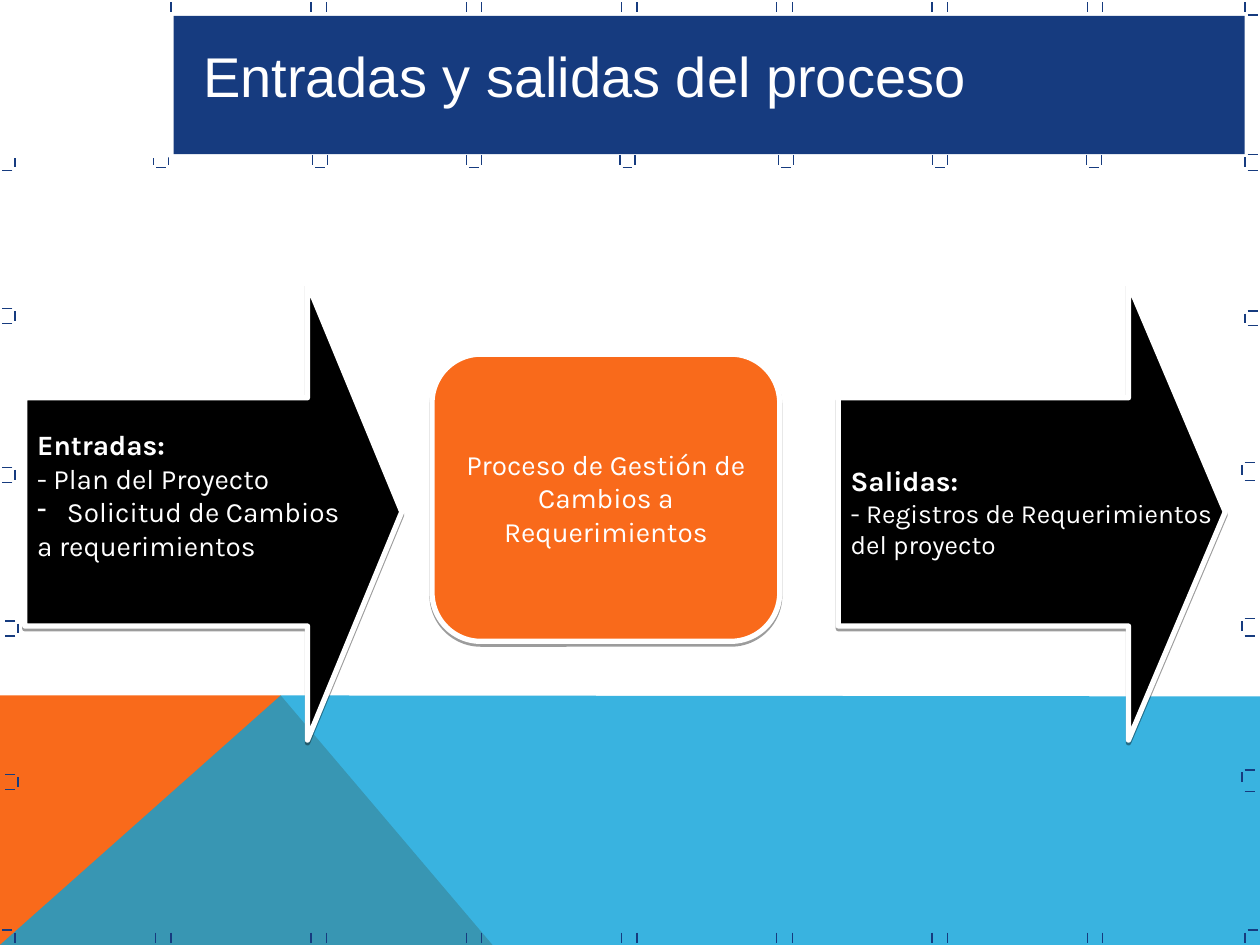
from lxml import etree
from pptx import Presentation
from pptx.dml.color import RGBColor
from pptx.enum.shapes import MSO_CONNECTOR, MSO_SHAPE
from pptx.enum.text import MSO_ANCHOR, MSO_AUTO_SIZE, PP_ALIGN
from pptx.oxml.ns import qn
from pptx.util import Cm, Pt

RECT = MSO_SHAPE.RECTANGLE
ROUND = MSO_SHAPE.ROUNDED_RECTANGLE
ARROW = MSO_SHAPE.RIGHT_ARROW
LINE = MSO_CONNECTOR.STRAIGHT
TOP, MIDDLE = MSO_ANCHOR.TOP, MSO_ANCHOR.MIDDLE
LEFT, CENTER = PP_ALIGN.LEFT, PP_ALIGN.CENTER
FIXED = MSO_AUTO_SIZE.NONE

NAVY, ORANGE, BLUE = "163B7F", "F96A1B", "08A1D9"
WHITE, BLACK = "FFFFFF", "000000"
WIDE, HIGH = 25.4, 19.05
PITCH = 3.13  # spacing of the marks around the frame


def color(code):
    return RGBColor.from_string(code)


def sub(parent, tag, **attrs):
    node = etree.SubElement(parent, qn(tag))
    for key, value in attrs.items():
        node.set(key, str(value))
    return node


def paint(shape, fill, edge=None, width=0):
    shape.shadow.inherit = False
    shape.fill.solid()
    shape.fill.fore_color.rgb = color(fill)
    if edge:
        shape.line.color.rgb = color(edge)
        shape.line.width = Pt(width)
    else:
        shape.line.fill.background()


def add_box(slide, kind, box, fill, edge=None, width=0):
    shape = slide.shapes.add_shape(kind, *[Cm(v) for v in box])
    paint(shape, fill, edge, width)
    return shape


def add_poly(slide, points, fill, alpha=None):
    spots = [(Cm(x), Cm(y)) for x, y in points]
    pen = slide.shapes.build_freeform(*spots[0])
    pen.add_line_segments(spots[1:], close=True)
    shape = pen.convert_to_shape()
    paint(shape, fill)
    if alpha:
        tone = shape._element.spPr.find(".//" + qn("a:srgbClr"))
        sub(tone, "a:alpha", val=alpha * 1000)


def add_tick(slide, x1, y1, x2, y2):
    tick = slide.shapes.add_connector(LINE, Cm(x1), Cm(y1), Cm(x2), Cm(y2))
    tick.line.color.rgb = color(NAVY)
    tick.line.width = Pt(0.75)
    sub(tick._element.spPr, "a:effectLst")


def add_side(slide, x, y, way, ends):
    """Mark at a side edge: an upright and the flat ends that lead outward."""
    add_tick(slide, x, y + 0.05, x, y + 0.25)
    for end in ends:
        add_tick(slide, x + way * 0.05, end, x + way * 0.25, end)


def add_marks(slide):
    # Pairs along the top and bottom edges
    for i in range(7):
        x = 3.45 + i * PITCH
        for y in (0.05, 18.8):
            add_tick(slide, x, y, x, y + 0.2)
            if i or y > 1:
                add_tick(slide, x - 0.31, y, x - 0.31, y + 0.2)

    # Brackets below the title band
    for x in (3.1, 6.3, 9.4, 12.5, 15.7, 18.8, 21.9):
        for edge in (x, x + 0.3):
            add_tick(slide, edge, 3.12, edge, 3.33)
        add_tick(slide, x + 0.05, 3.38, x + 0.25, 3.38)

    # Left edge
    add_side(slide, 0.3, 3.12, -1, [3.43])
    for x, y in ((0.3, 6.22), (0.3, 9.42), (0.36, 12.52), (0.36, 15.62)):
        add_side(slide, x, y, -1, [y, y + 0.3])
    add_side(slide, 0.3, 18.75, -1, [18.75])

    # Right edge
    places = ((25.1, 3.12), (25.1, 6.27), (25.04, 9.32),
              (25.04, 12.47), (25.04, 15.52))
    for i, (x, y) in enumerate(places):
        add_side(slide, x, y, 1, [y, 3.43 + i * PITCH])
    add_side(slide, 25.1, 0, 1, [0.3])
    add_side(slide, 25.1, 18.75, 1, [18.75])


def add_step(slide, kind, box, fill, adjust):
    shape = add_box(slide, kind, box, fill, WHITE, 3)
    for i, value in enumerate(adjust):
        shape.adjustments[i] = value
    shade = sub(shape._element.spPr.find(qn("a:effectLst")), "a:outerShdw",
                blurRad=0, dist=Pt(1.6), dir=5400000, rotWithShape=0)
    sub(sub(shade, "a:srgbClr", val=BLACK), "a:alpha", val=38000)
    shape.text_frame.vertical_anchor = MIDDLE
    shape.text_frame.word_wrap = kind == ROUND
    return shape


def style(para, size, align=LEFT, face="Karla"):
    para.alignment = align
    para.font.name = face
    para.font.size = Pt(size)
    para.font.color.rgb = color(WHITE)


def add_list(shape, head, lines, size):
    """Bold heading, a line break, then the remaining lines."""
    frame = shape.text_frame
    para = frame.paragraphs[0]
    style(para, size)
    run = para.add_run()
    run.text = head
    run.font.bold = True
    run.font.size = Pt(16)
    para.add_line_break()
    para.add_run().text = lines[0]
    for line in lines[1:]:
        para = frame.add_paragraph()
        para.text = line
        style(para, size)


def add_dash(para):
    props = para._p.get_or_add_pPr()
    props.set("marL", str(Cm(0.6)))
    props.set("indent", str(-Cm(0.6)))
    mark = etree.Element(qn("a:buChar"), char="-")
    props.insert(0, mark)


def set_title(slide, text):
    title = slide.shapes.title
    title.left, title.top = Cm(3.84), Cm(0.71)
    title.width, title.height = Cm(17.27), Cm(1.63)
    frame = title.text_frame
    frame.text = text
    frame.auto_size = FIXED
    frame.vertical_anchor = TOP
    style(frame.paragraphs[0], 32, face="Arial")
    slide.shapes._spTree.append(title._element)  # in front of the band


def main():
    deck = Presentation()
    deck.slide_width, deck.slide_height = Cm(WIDE), Cm(HIGH)
    slide = deck.slides.add_slide(deck.slide_layouts[5])

    # Backdrop
    peak = (5.66, 14.02)
    add_poly(slide, [(0, HIGH), (0, 14.02), peak, (9.93, HIGH)], ORANGE)
    add_poly(slide, [(0, HIGH), peak, (WIDE, 14.04), (WIDE, HIGH)], BLUE, 80)
    add_marks(slide)

    # Title band
    add_box(slide, RECT, (3.5, 0.32, 21.59, 2.79), NAVY)
    add_box(slide, RECT, (0, 0, 3.38, 3.15), WHITE, WHITE, 2)
    set_title(slide, "Entradas y salidas del proceso")

    # Inputs, process, outputs
    inputs = add_step(slide, ARROW, (0.5, 5.72, 7.6, 9.2), BLACK, (0.5, 0.25))
    add_list(inputs, "Entradas:", ["- Plan del Proyecto",
                                   "Solicitud de Cambios",
                                   "a requerimientos"], 16)
    add_dash(inputs.text_frame.paragraphs[1])
    inputs.text_frame.margin_bottom = Cm(0.82)

    process = add_step(slide, ROUND, (8.71, 7.14, 7.01, 5.79), ORANGE, [0.17])
    para = process.text_frame.paragraphs[0]
    para.text = "Proceso de Gestión de Cambios a Requerimientos"
    style(para, 16, CENTER)

    outputs = add_step(slide, ARROW, (16.9, 5.72, 7.8, 9.2), BLACK,
                       (0.5, 0.25))
    add_list(outputs, "Salidas:", ["- Registros de Requerimientos",
                                   "del proyecto"], 15)

    deck.save("out.pptx")


if __name__ == "__main__":
    main()
